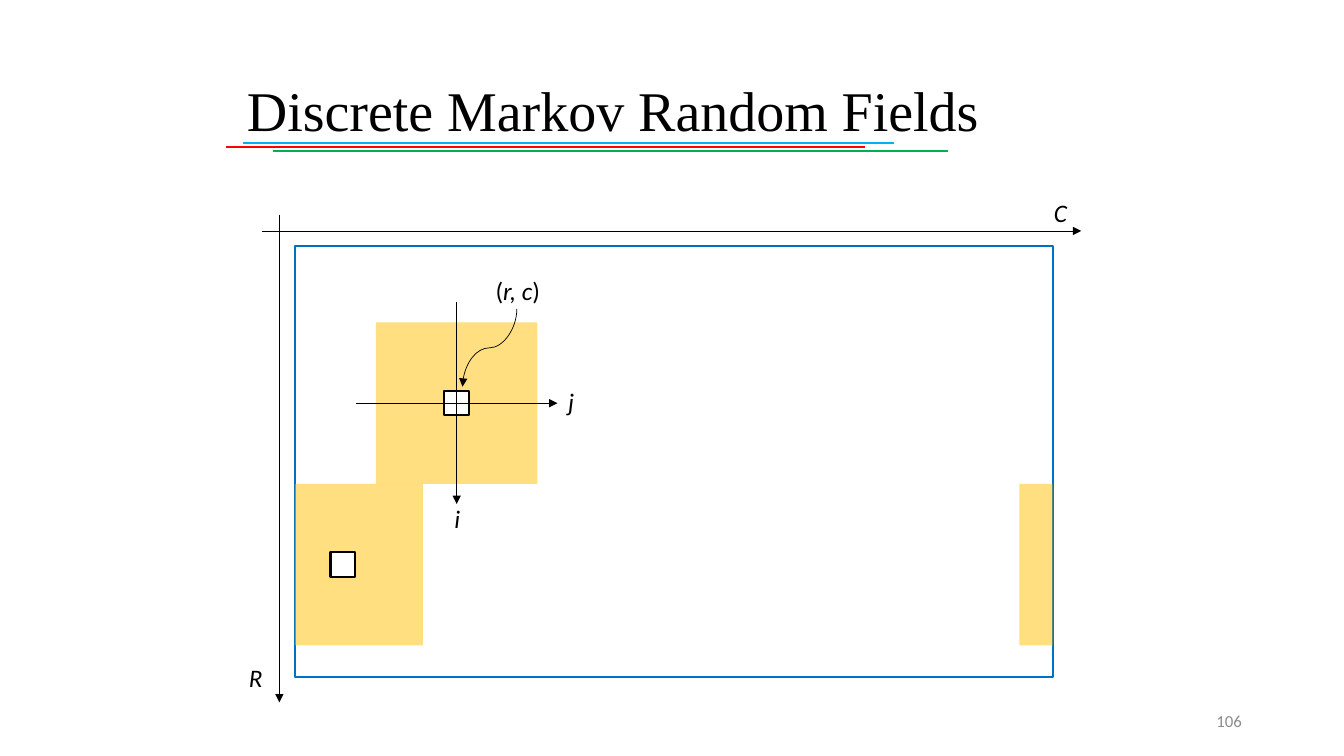
import pptx
import pptx.dml.color
import pptx.enum.shapes
import pptx.enum.text
import pptx.oxml.ns
import pptx.util
from lxml import etree
from pptx.dml.color import RGBColor
from pptx.util import Cm, Pt

BLACK = RGBColor(0x00, 0x00, 0x00)
WHITE = RGBColor(0xFF, 0xFF, 0xFF)
GRAY = RGBColor(0x8C, 0x8C, 0x8C)
SKY = RGBColor(0x00, 0xB0, 0xF0)
RED = RGBColor(0xFF, 0x00, 0x00)
GREEN = RGBColor(0x00, 0xB0, 0x50)
BLUE = RGBColor(0x00, 0x70, 0xC0)
AMBER = RGBColor(0xFF, 0xC0, 0x00)

STRAIGHT = pptx.enum.shapes.MSO_CONNECTOR.STRAIGHT
CURVE = pptx.enum.shapes.MSO_CONNECTOR.CURVE
qn = pptx.oxml.ns.qn

deck = pptx.Presentation()
deck.slide_width = Cm(33.87)
deck.slide_height = Cm(19.05)
page = deck.slides.add_slide(deck.slide_layouts[5])


def add_line(kind, ends, color, points, arrow=False):
    """Draw a connector; ends is (x1, y1, x2, y2) in centimetres."""
    line = page.shapes.add_connector(kind, *[Cm(end) for end in ends])
    line.line.color.rgb = color
    line.line.width = Pt(points)
    if arrow:
        etree.SubElement(line.line._get_or_add_ln(), qn("a:tailEnd"), type="triangle")
    etree.SubElement(line._element.spPr, qn("a:effectLst"))
    return line


def add_label(left, top, width, parts):
    """Write one line of text; parts is a list of (text, italic)."""
    box = page.shapes.add_textbox(Cm(left), Cm(top), Cm(width), Cm(1.02))
    box.text_frame.word_wrap = False
    para = box.text_frame.paragraphs[0]
    para.font.name = "Calibri"
    para.font.size = Pt(18)
    para.font.color.rgb = BLACK
    for text, italic in parts:
        span = para.add_run()
        span.text = text
        span.font.italic = italic
    return box


# Title and its three underlines
title = page.shapes.title
title.left, title.top, title.width, title.height = Cm(5.97), Cm(1.02), Cm(22.38), Cm(3.68)
title.text_frame.text = "Discrete Markov Random Fields"
title.text_frame.vertical_anchor = pptx.enum.text.MSO_ANCHOR.MIDDLE
para = title.text_frame.paragraphs[0]
para.alignment = pptx.enum.text.PP_ALIGN.LEFT
para.line_spacing = 0.9
para.font.name = "Times New Roman"
para.font.size = Pt(40)
para.font.color.rgb = BLACK

for start, end, y, color in [(6.12, 22.53, 3.61, SKY), (5.69, 21.79, 3.71, RED),
                             (6.88, 23.88, 3.81, GREEN)]:
    add_line(STRAIGHT, (start, y, end, y), color, 1.5)

# Image frame, neighbourhood windows and their centre pixels
frame_left, frame_width = 7.43, 19.1
side, pixel = 4.07, 0.62
center_x, center_y = 11.51, 10.16
window_top = center_y - side / 2
edge_top = window_top + side
edge_x, edge_y = 8.64, edge_top + side / 2
wrapped = 0.84

for left, top, width, height, fill, outline in [
    (frame_left, 6.2, frame_width, 10.87, WHITE, BLUE),
    (center_x - side / 2, window_top, side, side, AMBER, None),
    (center_x - pixel / 2, center_y - pixel / 2, pixel, pixel, WHITE, BLACK),
    (frame_left, edge_top, side - wrapped, side, AMBER, None),
    (edge_x - pixel / 2, edge_y - pixel / 2, pixel, pixel, WHITE, BLACK),
    (frame_left + frame_width - wrapped, edge_top, wrapped, side, AMBER, None),
]:
    area = page.shapes.add_shape(pptx.enum.shapes.MSO_SHAPE.RECTANGLE,
                                 Cm(left), Cm(top), Cm(width), Cm(height))
    area.shadow.inherit = False
    area.fill.solid()
    area.fill.fore_color.rgb = fill
    if outline is None:
        area.line.fill.background()
        color_element = area._element.spPr.find(qn("a:solidFill"))[0]
        etree.SubElement(color_element, qn("a:alpha"), val="50000")
    else:
        area.line.color.rgb = outline
        area.line.width = Pt(1.5)

# Axes of the window and of the whole image
reach = 2.54
for ends in [
    (center_x - reach, center_y, center_x + reach, center_y),
    (center_x, center_y - reach, center_x, center_y + reach),
    (6.6, 5.82, 27.25, 5.82),
    (7.04, 5.41, 7.04, 17.7),
]:
    add_line(STRAIGHT, ends, BLACK, 0.5, arrow=True)

# A quarter turn makes the curve leave the label downwards
pointer = add_line(CURVE, (11.36, 8.08, 13.32, 9.45), BLACK, 0.5, arrow=True)
pointer._element.spPr.find(qn("a:xfrm")).set("rot", "5400000")

for left, top, width, text in [(11.2, 12.55, 0.66, "i"), (14.07, 9.6, 0.66, "j"),
                               (6.02, 16.56, 0.86, "R"), (26.31, 4.85, 0.86, "C")]:
    add_label(left, top, width, [(text, True)])
add_label(12.24, 6.81, 1.65, [("(", False), ("r, c", True), (")", False)])

# Page number
number = page.shapes.add_textbox(Cm(23.93), Cm(17.65), Cm(7.62), Cm(1.02))
number.text_frame.word_wrap = True
number.text_frame.vertical_anchor = pptx.enum.text.MSO_ANCHOR.MIDDLE
para = number.text_frame.paragraphs[0]
para.text = "106"
para.alignment = pptx.enum.text.PP_ALIGN.RIGHT
para.font.name = "Calibri"
para.font.size = Pt(12)
para.font.color.rgb = GRAY

deck.save("out.pptx")
